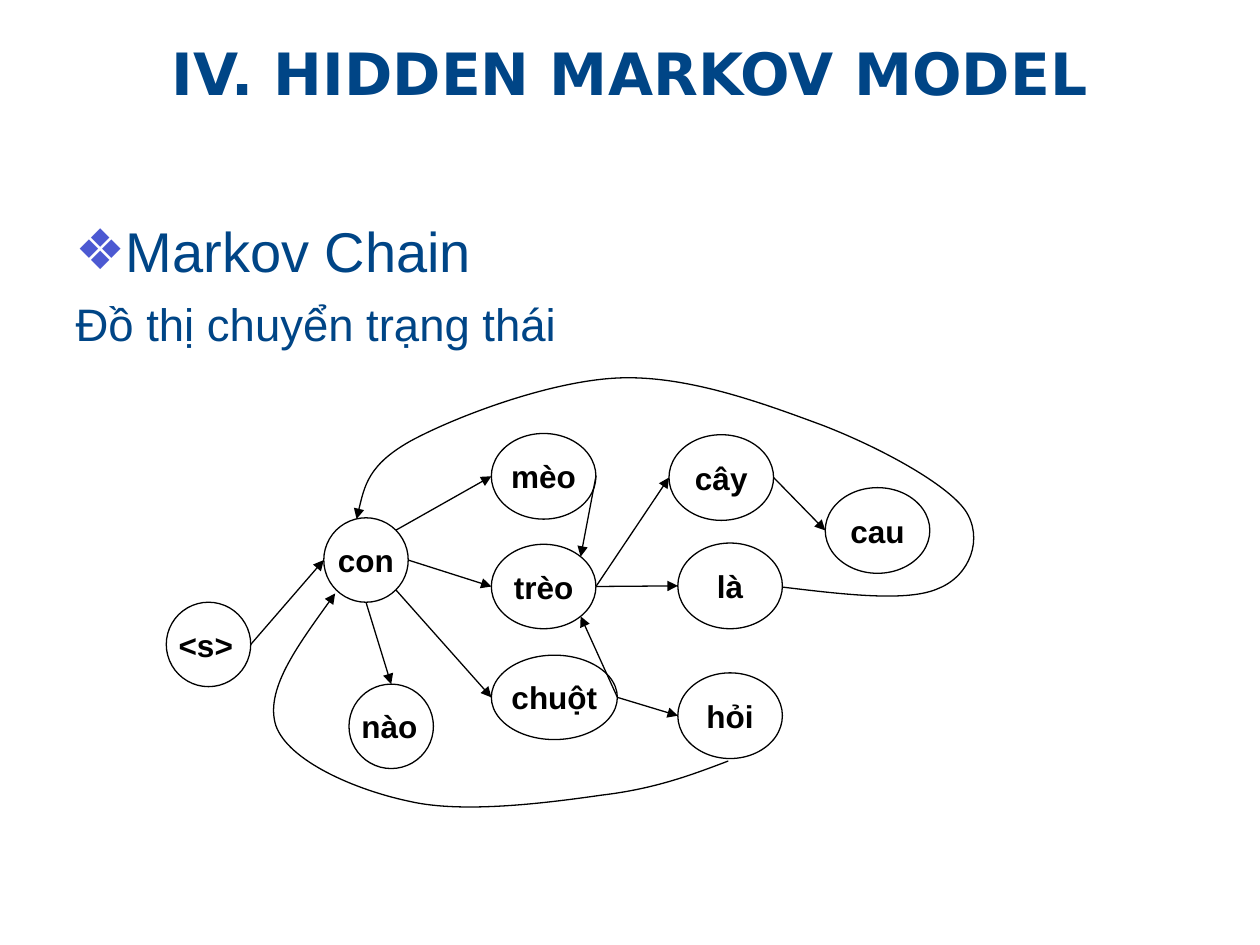
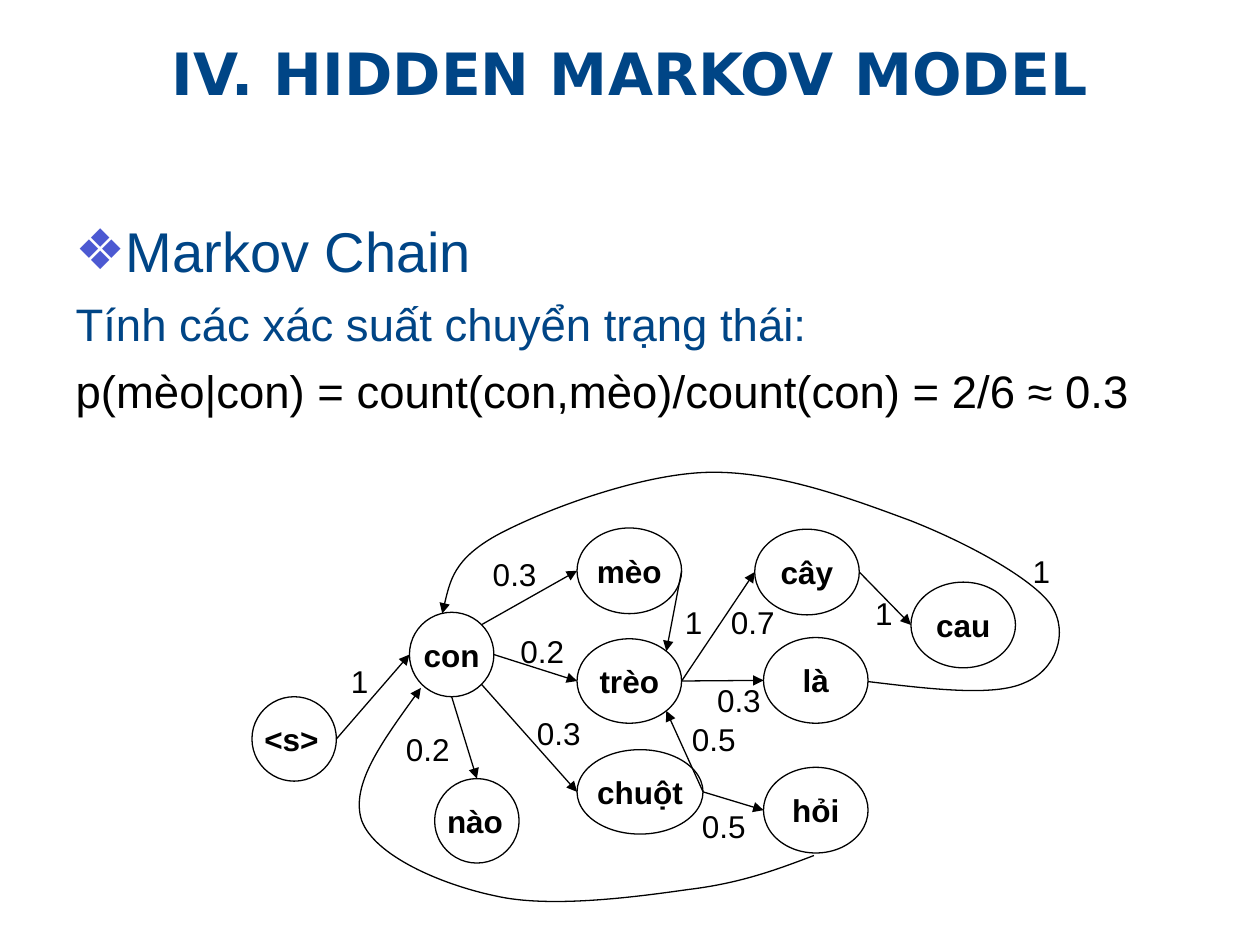
from dataclasses import dataclass
from math import cos, radians, sin
from typing import Optional

from lxml.etree import SubElement
from pptx import Presentation
from pptx.dml.color import RGBColor
from pptx.enum.shapes import MSO_CONNECTOR, MSO_SHAPE
from pptx.enum.text import MSO_ANCHOR, MSO_AUTO_SIZE, PP_ALIGN
from pptx.oxml.ns import qn
from pptx.util import Inches, Pt

NAVY = RGBColor(0x00, 0x45, 0x86)
VIOLET = RGBColor(0x4C, 0x59, 0xD2)
BLACK = RGBColor(0x00, 0x00, 0x00)
FONT, TITLE_FONT = "Arial", "DejaVu Sans"
LINE_WIDTH = Pt(0.75)
HANGING = Inches(0.37)
CIRCLE = 0.67
TITLE = "IV. HIDDEN MARKOV MODEL"

# Angles on an ellipse, clockwise from the right, where arrows attach
RIGHT, LOWER_RIGHT, BOTTOM, LEFT, TOP, UPPER_RIGHT = 0, 45, 90, 180, 270, 315

Point = tuple[float, float]


@dataclass(frozen=True)
class Node:
    word: str
    left: float
    top: float
    width: float = 0.83
    height: float = 0.68
    align: PP_ALIGN = PP_ALIGN.CENTER

    def site(self, angle: float) -> Point:
        a = radians(angle)
        return (self.left + self.width / 2 * (1 + cos(a)),
                self.top + self.height / 2 * (1 + sin(a)))


@dataclass(frozen=True)
class Probability:
    value: str
    left: float
    top: float


@dataclass(frozen=True)
class Edge:
    source: str
    leaves: float
    target: str
    enters: float
    prob: Probability


@dataclass(frozen=True)
class Curve:
    points: list[Point]  # start, then three Bezier points per segment
    prob: Optional[Probability] = None


@dataclass(frozen=True)
class Line:
    text: str
    size: int = 26
    color: RGBColor = NAVY
    bullet: str = ""


@dataclass(frozen=True)
class ChainSlide:
    lines: list[Line]
    shift: Point
    show_probs: bool


# The state graph
NODES = {n.word: n for n in [
    Node("<s>", 1.32, 4.78, CIRCLE, CIRCLE, PP_ALIGN.LEFT),
    Node("con", 2.57, 4.11, CIRCLE, CIRCLE),
    Node("nào", 2.77, 5.43, CIRCLE, CIRCLE, PP_ALIGN.LEFT),
    Node("mèo", 3.9, 3.44),
    Node("trèo", 3.9, 4.32, height=0.67),
    Node("chuột", 3.9, 5.2, 1, 0.67),
    Node("cây", 5.31, 3.45),
    Node("là", 5.38, 4.31),
    Node("hỏi", 5.38, 5.34),
    Node("cau", 6.55, 3.87),
]}
EDGES = [
    Edge("<s>", RIGHT, "con", LEFT, Probability("1", 1.84, 4.32)),
    Edge("con", UPPER_RIGHT, "mèo", LEFT, Probability("0.3", 3.07, 3.47)),
    Edge("con", RIGHT, "trèo", LEFT, Probability("0.2", 3.29, 4.08)),
    Edge("con", LOWER_RIGHT, "chuột", LEFT, Probability("0.3", 3.42, 4.73)),
    Edge("con", BOTTOM, "nào", TOP, Probability("0.2", 2.38, 4.86)),
    Edge("mèo", RIGHT, "trèo", UPPER_RIGHT, Probability("1", 4.49, 3.85)),
    Edge("trèo", RIGHT, "cây", LEFT, Probability("0.7", 4.96, 3.85)),
    Edge("trèo", RIGHT, "là", LEFT, Probability("0.3", 4.85, 4.47)),
    Edge("cây", RIGHT, "cau", LEFT, Probability("1", 6, 3.78)),
    Edge("chuột", RIGHT, "trèo", LOWER_RIGHT, Probability("0.5", 4.65, 4.78)),
    Edge("chuột", RIGHT, "hỏi", LEFT, Probability("0.5", 4.73, 5.47)),
]
CURVES = [
    Curve([(6.21, 4.66),
           (6.71, 4.72), (7.21, 4.78), (7.45, 4.67),
           (7.7, 4.57), (7.81, 4.27), (7.66, 4.05),
           (7.51, 3.84), (7, 3.56), (6.54, 3.38),
           (6.08, 3.21), (5.47, 2.98), (4.92, 3),
           (4.37, 3.02), (3.61, 3.31), (3.26, 3.5),
           (2.92, 3.69), (2.88, 3.91), (2.83, 4.12)],
          Probability("1", 7.25, 3.45)),
    Curve([(5.78, 6.04),
           (5.49, 6.15), (5.2, 6.26), (4.78, 6.31),
           (4.36, 6.37), (3.68, 6.46), (3.25, 6.36),
           (2.82, 6.27), (2.29, 6.04), (2.19, 5.76),
           (2.1, 5.48), (2.38, 5.1), (2.66, 4.71)]),
]

HEADING = Line("Markov Chain", 32, bullet="❖")
SLIDES = [
    ChainSlide([HEADING, Line("Đồ thị chuyển trạng thái")], (0, 0), False),
    ChainSlide([HEADING, Line("Tính các xác suất chuyển trạng thái:"),
                Line("p(mèo|con) = count(con,mèo)/count(con) = 2/6 ≈ 0.3",
                     color=BLACK)], (0.68, 0.75), True),
]


def place(s, left: float, top: float, width: float, height: float) -> None:
    s.left, s.top = Inches(left), Inches(top)
    s.width, s.height = Inches(width), Inches(height)


def add_run(p, text: str, size: float, color: RGBColor,
            font: str = FONT, bold: bool = False) -> None:
    r = p.add_run()
    r.text = text
    r.font.name, r.font.size, r.font.bold = font, Pt(size), bold
    r.font.color.rgb = color


def clear_margins(tf) -> None:
    tf.margin_left = tf.margin_right = tf.margin_top = tf.margin_bottom = 0
    tf.vertical_anchor = MSO_ANCHOR.MIDDLE
    tf.word_wrap = True


def set_bullet(p, char: str) -> None:
    pPr = p._p.get_or_add_pPr()
    pPr.set("marL", str(HANGING))
    pPr.set("indent", str(-HANGING))
    if char:
        clr = SubElement(pPr, qn("a:buClr"))
        SubElement(clr, qn("a:srgbClr"), val=str(VIOLET))
        SubElement(pPr, qn("a:buChar"), char=char)
    else:
        SubElement(pPr, qn("a:buNone"))


def add_title(slide) -> None:
    s = slide.shapes.title
    place(s, 0, 0.32, 10, 0.58)
    tf = s.text_frame
    clear_margins(tf)
    tf.auto_size = MSO_AUTO_SIZE.NONE
    p = tf.paragraphs[0]
    p.alignment, p.line_spacing = PP_ALIGN.CENTER, 0.9
    add_run(p, TITLE, 33.3, NAVY, TITLE_FONT, True)


def add_body(slide, lines: list[Line]) -> None:
    s = slide.placeholders[1]
    place(s, 0.5, 1.67, 9, 5.25)
    tf = s.text_frame
    tf.auto_size = MSO_AUTO_SIZE.NONE
    for i, line in enumerate(lines):
        p = tf.add_paragraph() if i else tf.paragraphs[0]
        set_bullet(p, line.bullet)
        p.space_before = Pt(7 if i else 0)
        add_run(p, line.text, line.size, line.color)


def add_ellipse(slide, node: Node, shift: Point, outlined: bool = True) -> None:
    s = slide.shapes.add_shape(
        MSO_SHAPE.OVAL, Inches(node.left + shift[0]), Inches(node.top + shift[1]),
        Inches(node.width), Inches(node.height))
    s.shadow.inherit = False
    s.fill.background()
    if outlined:
        s.line.color.rgb, s.line.width = BLACK, LINE_WIDTH
    else:
        s.line.fill.background()
    clear_margins(s.text_frame)
    p = s.text_frame.paragraphs[0]
    p.alignment = node.align
    add_run(p, node.word, 18, BLACK, bold=outlined)


def add_probability(slide, prob: Probability, shift: Point) -> None:
    label = Node(prob.value, prob.left, prob.top, CIRCLE, CIRCLE)
    add_ellipse(slide, label, shift, outlined=False)


def style_arrow(s) -> None:
    s.line.color.rgb, s.line.width = BLACK, LINE_WIDTH
    SubElement(s.line._get_or_add_ln(), qn("a:tailEnd"), type="triangle")


def to_emu(point: Point, shift: Point) -> tuple[int, int]:
    return Inches(point[0] + shift[0]), Inches(point[1] + shift[1])


def add_edge(slide, edge: Edge, shift: Point) -> None:
    start = to_emu(NODES[edge.source].site(edge.leaves), shift)
    end = to_emu(NODES[edge.target].site(edge.enters), shift)
    s = slide.shapes.add_connector(MSO_CONNECTOR.STRAIGHT, *start, *end)
    style_arrow(s)
    SubElement(s._element.spPr, qn("a:effectLst"))


def add_curve(slide, curve: Curve, shift: Point) -> None:
    start, *rest = [to_emu(point, shift) for point in curve.points]
    builder = slide.shapes.build_freeform(*start)
    builder.add_line_segments(rest, close=False)
    s = builder.convert_to_shape()
    # Join each three line points into one Bezier segment
    outline = s._element.find(".//" + qn("a:path"))
    steps = outline.findall(qn("a:lnTo"))
    for i in range(0, len(steps), 3):
        bezier = SubElement(outline, qn("a:cubicBezTo"))
        for step in steps[i:i + 3]:
            bezier.append(step[0])
            outline.remove(step)
    s.shadow.inherit = False
    s.fill.background()
    style_arrow(s)


def add_chain_slide(prs, content: ChainSlide) -> None:
    slide = prs.slides.add_slide(prs.slide_layouts[1])
    add_title(slide)
    add_body(slide, content.lines)
    for node in NODES.values():
        add_ellipse(slide, node, content.shift)
    for edge in EDGES:
        add_edge(slide, edge, content.shift)
    for curve in CURVES:
        add_curve(slide, curve, content.shift)
    if content.show_probs:
        for arrow in EDGES + CURVES:
            if arrow.prob:
                add_probability(slide, arrow.prob, content.shift)


def main() -> None:
    prs = Presentation()
    prs.slide_width, prs.slide_height = Inches(10), Inches(7.5)
    for content in SLIDES:
        add_chain_slide(prs, content)
    prs.save("out.pptx")


if __name__ == "__main__":
    main()
